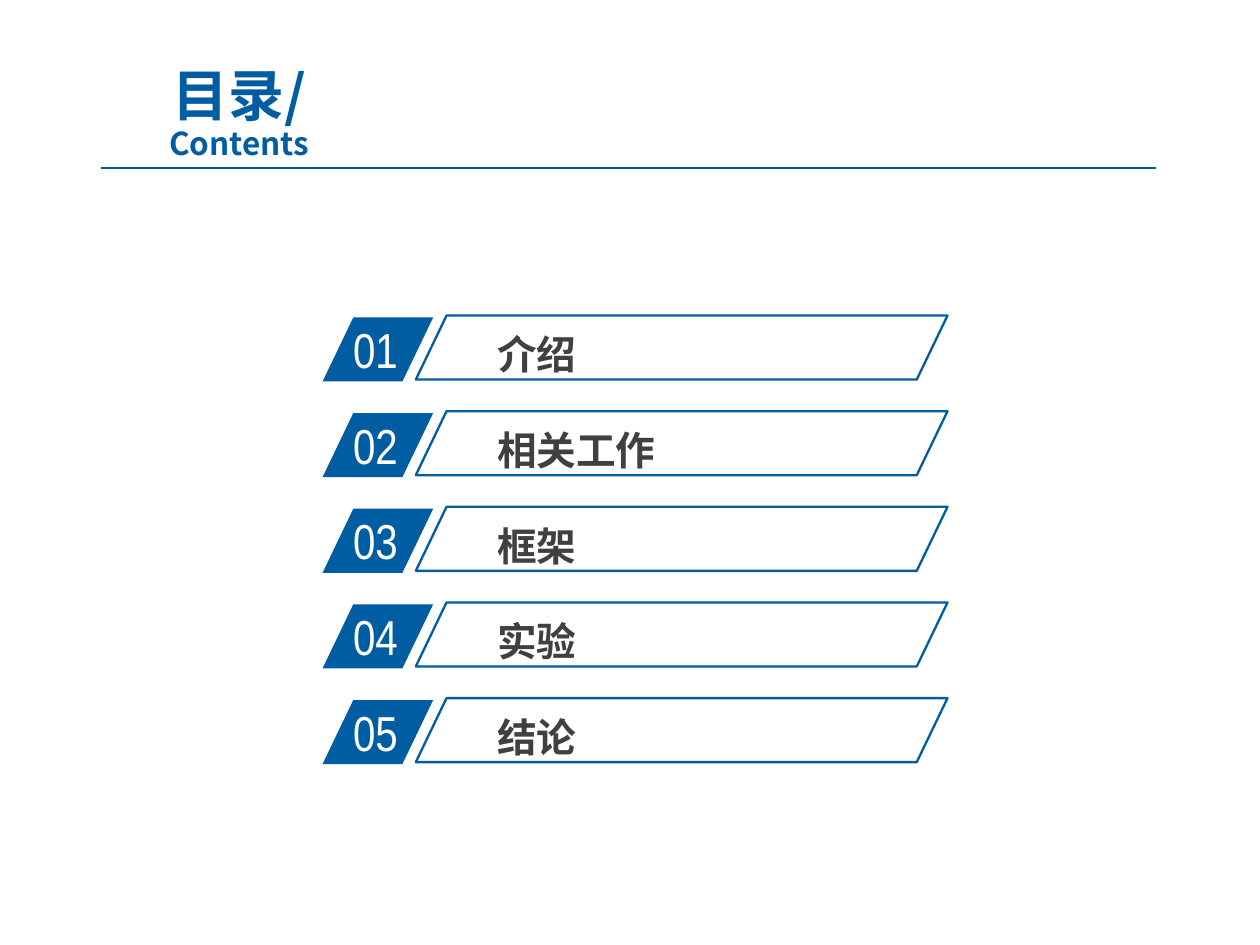
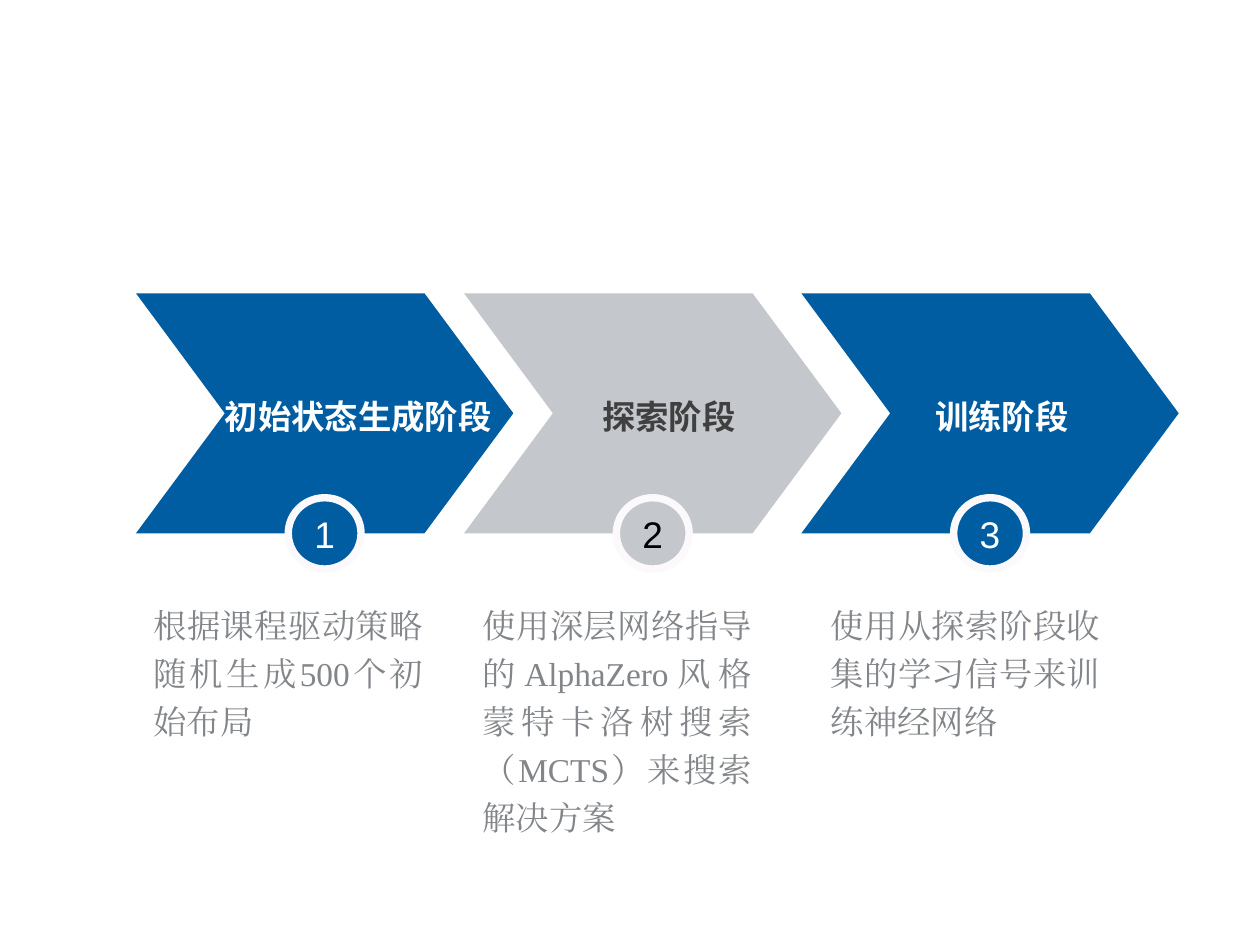
from dataclasses import dataclass

from lxml.etree import SubElement
from pptx import Presentation
from pptx.dml.color import RGBColor
from pptx.enum.shapes import MSO_CONNECTOR, MSO_SHAPE as Preset
from pptx.enum.text import MSO_ANCHOR as Anchor, PP_ALIGN as Align
from pptx.oxml.ns import qn
from pptx.util import Inches, Pt


@dataclass(frozen=True)
class Theme:
    """Colours, fonts and type sizes of the deck."""
    blue: str = "005DA2"
    rule: str = "005B9E"
    silver: str = "C4C7CB"
    white: str = "FFFFFF"
    black: str = "000000"
    dark: str = "404040"
    grey: str = "828589"
    ring: str = "FBF9FC"
    heading: str = "Noto Sans CJK SC"
    narrow: str = "Arial Narrow"
    digits: str = "Arial"
    serif: str = "Times New Roman"
    title_size: float = 30.2
    subtitle_size: float = 17
    number_size: float = 26.5
    entry_size: float = 21.4
    step_size: float = 20
    text_size: float = 18


THEME = Theme()
WIDTH, HEIGHT = Inches(9.45), Inches(7.09)
COLUMNS, ROWS = 100, 75
TITLE_ONLY, BLANK = 5, 6
SLANT = 0.48
POINT = 0.37


class Deck:
    """Draws styled elements on the current slide, in grid columns and rows."""

    def __init__(self):
        self.prs = Presentation()
        self.prs.slide_width, self.prs.slide_height = WIDTH, HEIGHT
        self.slide = None

    def new_slide(self, layout):
        self.slide = self.prs.slides.add_slide(self.prs.slide_layouts[layout])

    def cells(self, *lengths):
        """Turn alternating columns and rows into slide lengths."""
        units = (WIDTH / COLUMNS, HEIGHT / ROWS)
        return [round(length * units[i % 2]) for i, length in enumerate(lengths)]

    def run(self, paragraph, words, font, size, color, bold=False):
        run = paragraph.add_run()
        run.text = words
        run.font.size, run.font.bold, run.font.name = Pt(size), bold, font
        run.font.color.rgb = RGBColor.from_string(color)
        SubElement(run.font._element, qn("a:ea"), typeface=font)

    def frame(self, shape, align=Align.LEFT, anchor=Anchor.TOP, inset=0.0, spacing=None):
        """Format a text frame and return its first paragraph."""
        frame = shape.text_frame
        frame.word_wrap, frame.vertical_anchor = True, anchor
        frame.margin_left = frame.margin_right = Inches(inset)
        frame.margin_top = frame.margin_bottom = Inches(inset / 2)
        paragraph = frame.paragraphs[0]
        paragraph.alignment, paragraph.line_spacing = align, spacing
        return paragraph

    def title(self, main, sub):
        title = self.slide.shapes.title
        title.left, title.top, title.width, title.height = self.cells(6.67, 6.45, 24.66, 5.4)
        paragraph = self.frame(title, Align.CENTER, Anchor.MIDDLE, 0.1, 0.9)
        self.run(paragraph, main, THEME.heading, THEME.title_size, THEME.blue, True)
        paragraph.add_line_break()
        self.run(paragraph, sub, THEME.heading, THEME.subtitle_size, THEME.blue, True)

    def rule(self, left, right, row):
        rule = self.slide.shapes.add_connector(
            MSO_CONNECTOR.STRAIGHT, *self.cells(left, row, right, row))
        rule.line.color.rgb = RGBColor.from_string(THEME.rule)
        rule.line.width = Pt(0.75)
        SubElement(rule.element.spPr, qn("a:effectLst"))

    def shape(self, preset, box, fill=None, outline=None, weight=1.25, adjust=None):
        shape = self.slide.shapes.add_shape(preset, *self.cells(*box))
        shape.shadow.inherit = False
        if adjust is not None:
            shape.adjustments[0] = adjust
        if fill:
            shape.fill.solid()
            shape.fill.fore_color.rgb = RGBColor.from_string(fill)
        else:
            shape.fill.background()
        if outline:
            shape.line.color.rgb = RGBColor.from_string(outline)
            shape.line.width = Pt(weight)
        else:
            shape.line.fill.background()
        return shape

    def text(self, words, box, font, size, color, bold=False, **layout):
        textbox = self.slide.shapes.add_textbox(*self.cells(*box))
        self.run(self.frame(textbox, **layout), words, font, size, color, bold)

    def entry(self, number, topic, row):
        """Draw one numbered line of the contents."""
        self.shape(Preset.PARALLELOGRAM, (25.6, row, 8.78, 5.08), THEME.blue, adjust=SLANT)
        self.text(f"{number:02}", (26.98, row - 0.35, 8.36, 5.82),
                  THEME.narrow, THEME.number_size, THEME.white, inset=0.1)
        self.text(topic, (38.73, row + 0.64, 30.9, 4.55),
                  THEME.heading, THEME.entry_size, THEME.dark, True, inset=0.07)
        self.shape(Preset.PARALLELOGRAM, (33, row - 0.15, 42.2, 5.08),
                   outline=THEME.blue, adjust=SLANT)

    def stage(self, number, name, detail, left, name_center, detail_left, colors):
        """Draw one arrow of the process with its badge and description."""
        fill, name_color, digit_color = colors
        top, width, height = 23.28, 29.95, 19.05
        badge_width, badge_height, name_width = 5.78, 5.66, 22.2
        self.shape(Preset.CHEVRON, (left, top, width, height), fill, adjust=POINT)
        self.text(name, (name_center - name_width / 2, 31.6, name_width, 2.9),
                  THEME.heading, THEME.text_size, name_color, True,
                  align=Align.CENTER, anchor=Anchor.MIDDLE)
        badge = self.shape(
            Preset.OVAL, (left + (width - badge_width) / 2, top + height - badge_height / 2,
                          badge_width, badge_height), fill, THEME.ring, 4)
        self.run(self.frame(badge, Align.CENTER, Anchor.MIDDLE), str(number),
                 THEME.digits, THEME.step_size, digit_color)
        self.text(detail, (detail_left, 47.41, 21.4, 18.8),
                  THEME.serif, THEME.text_size, THEME.grey,
                  align=Align.JUSTIFY, spacing=1.2)


def contents(deck):
    deck.new_slide(TITLE_ONLY)
    deck.title("目录/", "Contents")
    deck.rule(8.04, 91.75, 13.33)
    for index, topic in enumerate(("介绍", "相关工作", "框架", "实验", "结论")):
        deck.entry(index + 1, topic, 25.2 + 7.59 * index)


def training_stages(deck):
    deck.new_slide(BLANK)
    strong = (THEME.blue, THEME.white, THEME.white)
    muted = (THEME.silver, THEME.dark, THEME.black)
    stages = (
        ("初始状态生成阶段", "根据课程驱动策略随机生成500个初始布局",
         10.79, 28.43, 12.17, strong),
        ("探索阶段", "使用深层网络指导的AlphaZero风格蒙特卡洛树搜索（MCTS）来搜索解决方案",
         36.83, 53.09, 38.3, muted),
        ("训练阶段", "使用从探索阶段收集的学习信号来训练神经网络",
         63.6, 79.5, 65.93, strong),
    )
    for number, stage in enumerate(stages, 1):
        deck.stage(number, *stage)


def main():
    deck = Deck()
    contents(deck)
    training_stages(deck)
    deck.prs.save("out.pptx")


if __name__ == "__main__":
    main()
